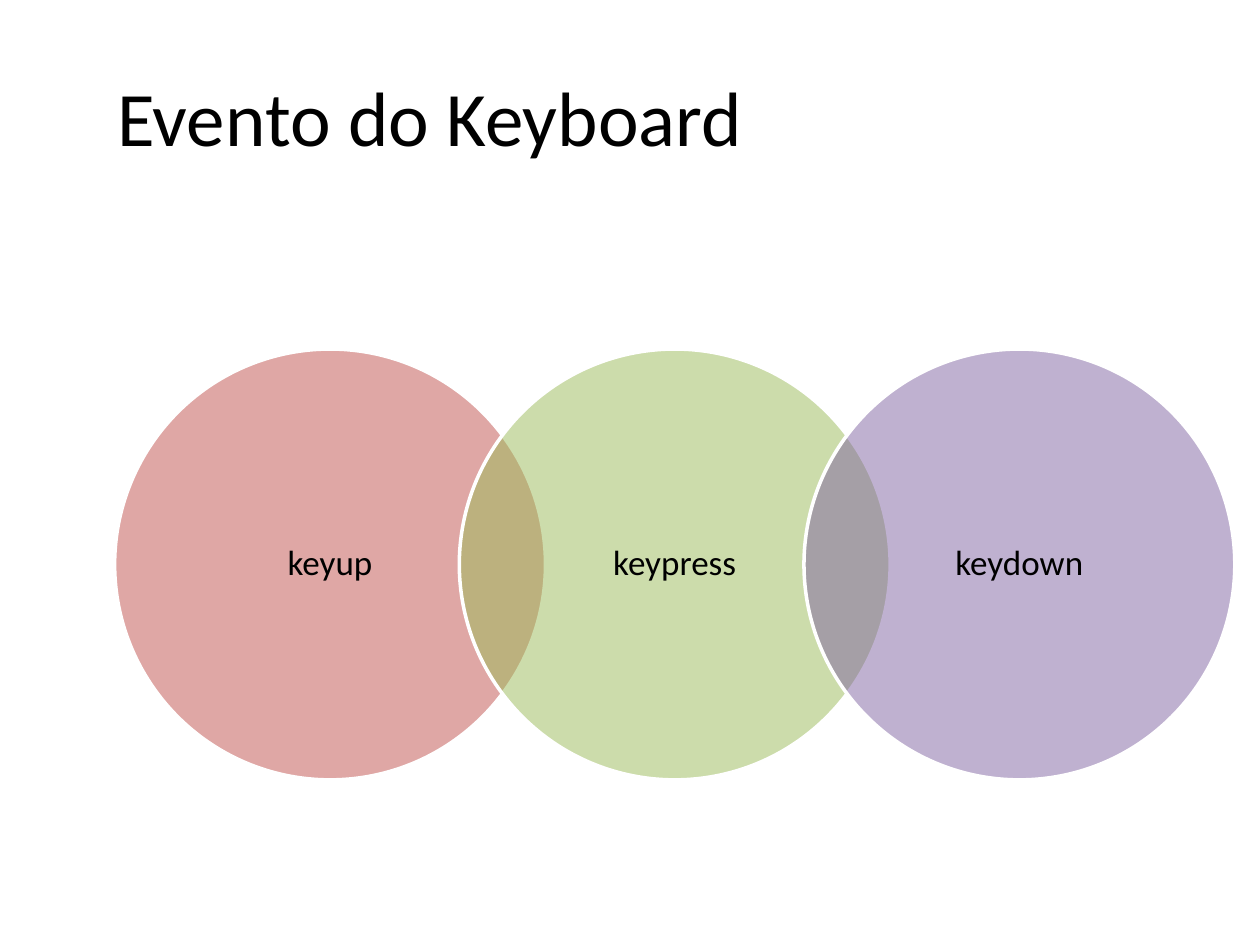
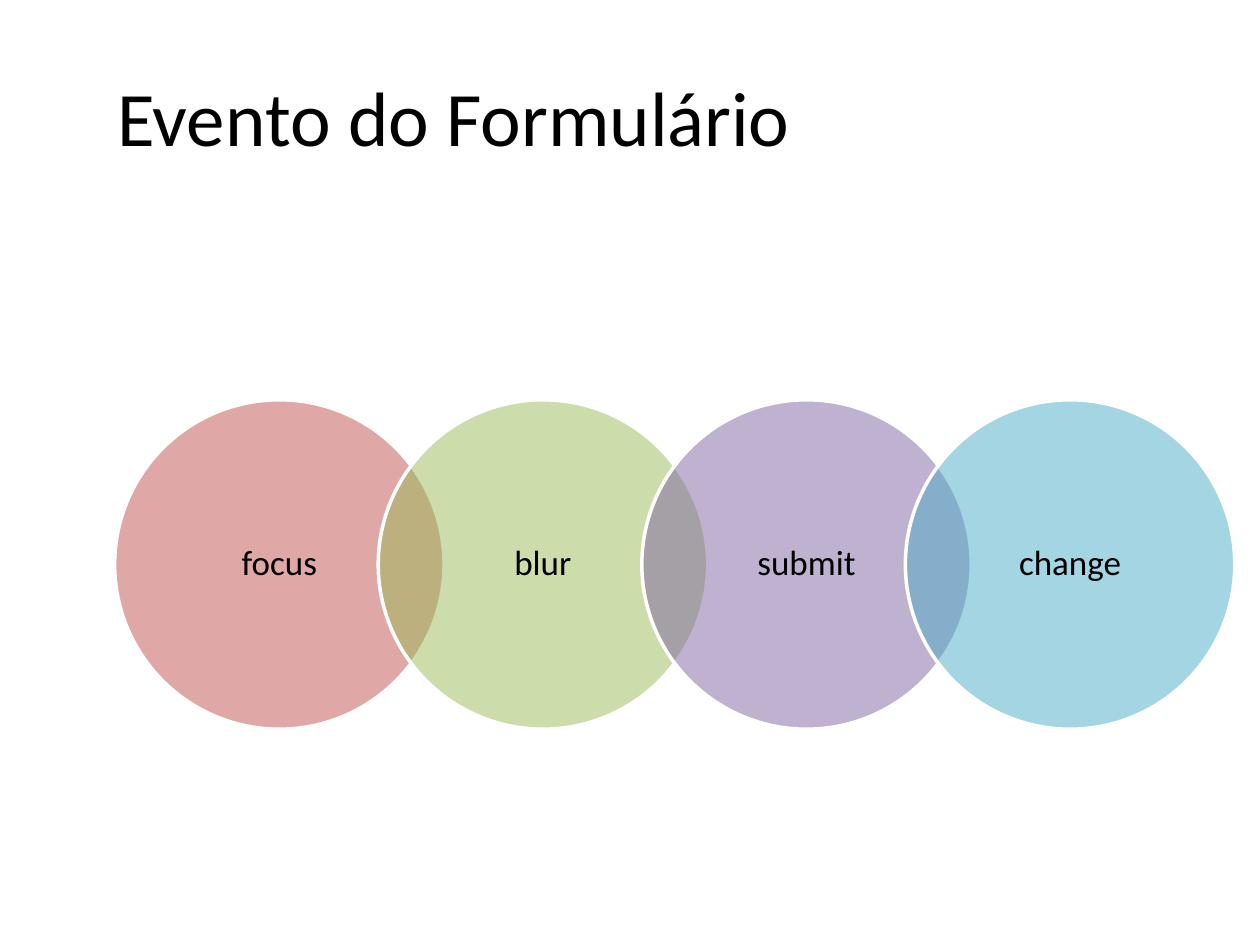
from lxml import etree
from pptx import Presentation
from pptx.dml.color import RGBColor as RGB
from pptx.enum.shapes import MSO_SHAPE as Shape
from pptx.enum.text import MSO_ANCHOR as Anchor, PP_ALIGN as Align
from pptx.oxml.ns import qn
from pptx.util import Inches, Pt

WIDE, HIGH = Inches(10), Inches(7.5)
FONT = "Calibri"
COLORS = {
    "text": "000000",
    "rim": "FFFFFF",
    "red": "C0504D",
    "green": "9BBB59",
    "purple": "8064A2",
    "aqua": "4BACC6",
}
FILLS = ("red", "green", "purple", "aqua")
LEFT, SPAN, MIDDLE = Inches(0.91), Inches(8.89), Inches(4.48)
STEP = 0.8
PAD = 0.055

SLIDES = (
    ("Evento do Keyboard", ("keyup", "keypress", "keydown")),
    ("Evento do Formulário", ("focus", "blur", "submit", "change")),
)


def color(name):
    return RGB.from_string(COLORS[name])


def style(para, size, align):
    para.alignment = align
    para.font.name = FONT
    para.font.size = Pt(size)
    para.font.color.rgb = color("text")


def add_title(slide, text):
    title = slide.shapes.title
    title.left, title.top = Inches(0.83), Inches(0.29)
    title.width, title.height = Inches(8.83), Inches(1.25)
    frame = title.text_frame
    frame.text = text
    frame.vertical_anchor = Anchor.MIDDLE
    style(frame.paragraphs[0], 44, Align.LEFT)


def fade(shape, share):
    tint = shape.fill._xPr.find(qn("a:solidFill"))[0]
    etree.SubElement(tint, qn("a:alpha"), val=str(int(share * 100000)))


def add_disc(group, left, size, text, fill):
    disc = group.shapes.add_shape(
        Shape.OVAL, int(left), int(MIDDLE - size / 2), int(size), int(size))
    disc.shadow.inherit = False
    disc.fill.solid()
    disc.fill.fore_color.rgb = color(fill)
    fade(disc, 0.5)
    disc.line.color.rgb = color("rim")
    disc.line.width = Pt(2)
    frame = disc.text_frame
    frame.word_wrap = True
    frame.vertical_anchor = Anchor.MIDDLE
    frame.margin_left = frame.margin_right = int(size * PAD)
    frame.margin_top = frame.margin_bottom = Inches(0.03)
    frame.text = text
    para = frame.paragraphs[0]
    para.line_spacing = 0.9
    style(para, 20, Align.CENTER)


def add_chain(slide, names):
    size = SPAN / (1 + STEP * (len(names) - 1))
    group = slide.shapes.add_group_shape()
    for i, (name, fill) in enumerate(zip(names, FILLS)):
        add_disc(group, LEFT + i * STEP * size, size, name, fill)


def main():
    deck = Presentation()
    deck.slide_width, deck.slide_height = WIDE, HIGH
    for title, names in SLIDES:
        slide = deck.slides.add_slide(deck.slide_layouts[5])
        add_title(slide, title)
        add_chain(slide, names)
    deck.save("out.pptx")


if __name__ == "__main__":
    main()
